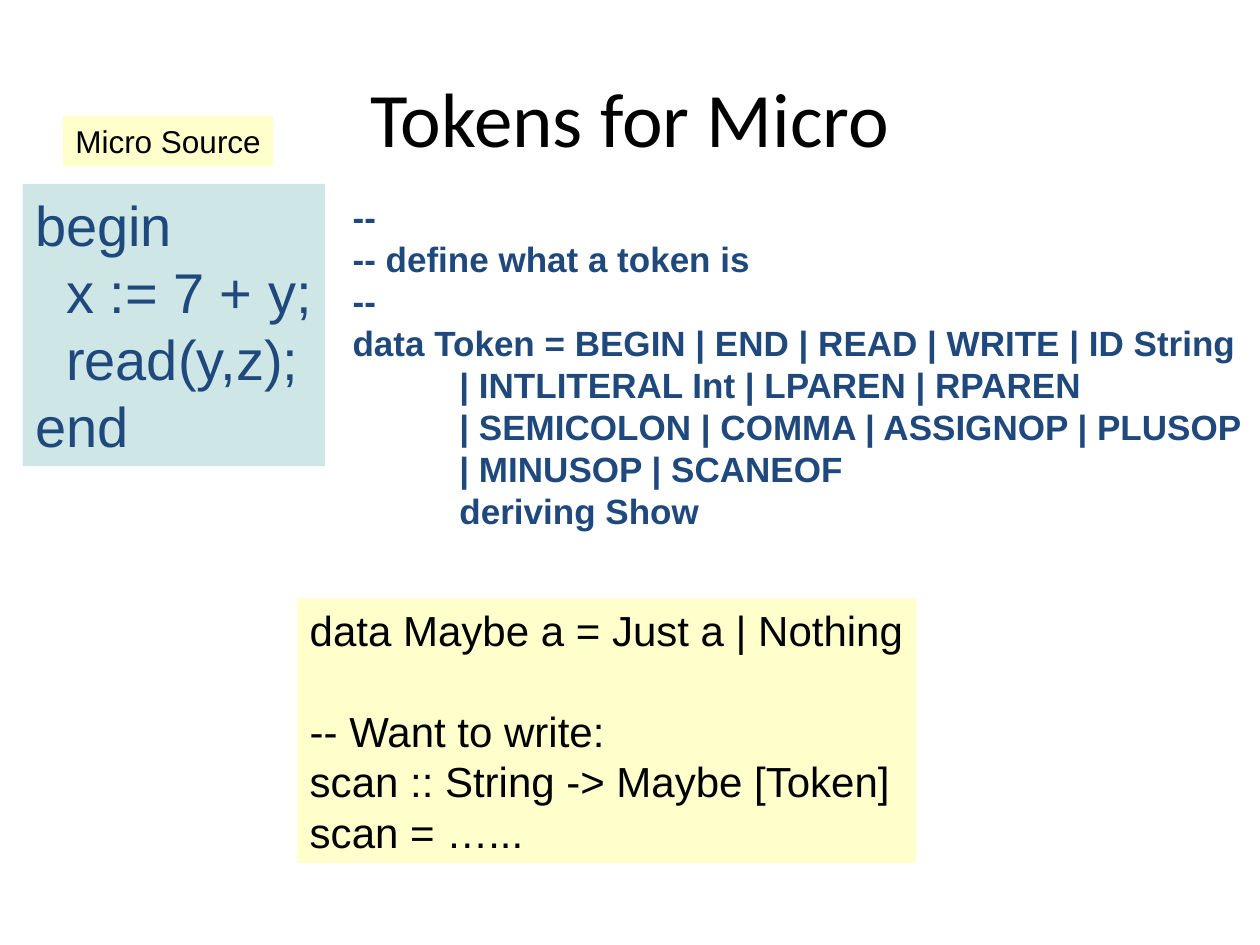
from pptx import Presentation
from pptx import util as u
from pptx.dml.color import RGBColor
from pptx.enum import shapes, text

NAVY, BLACK, TEAL, CREAM = "1F497D", "000000", "CEE7E6", "FFFFCC"

MICRO_SOURCE = """begin
  x := 7 + y;
  read(y,z);
end"""

TOKEN_TYPE = """--
-- define what a token is
--
data Token = BEGIN | END | READ | WRITE | ID String
           | INTLITERAL Int | LPAREN | RPAREN
           | SEMICOLON | COMMA | ASSIGNOP | PLUSOP
           | MINUSOP | SCANEOF
           deriving Show"""

SCANNER = """data Maybe a = Just a | Nothing

-- Want to write:
scan :: String -> Maybe [Token]
scan = …..."""


def color(value):
    return RGBColor.from_string(value)


class SlideBuilder:
    """Places elements on a grid of 100 columns by 75 rows."""

    line_pitch = 1.2

    def __init__(self, presentation):
        self.slide = presentation.slides.add_slide(presentation.slide_layouts[6])
        self.column = presentation.slide_width / 100
        self.row = presentation.slide_height / 75

    def area(self, left, top, width, height):
        return (round(left * self.column), round(top * self.row),
                round(width * self.column), round(height * self.row))

    def style(self, paragraph, font, size, ink, bold=False):
        paragraph.font.name = font
        paragraph.font.size = u.Pt(size)
        paragraph.font.color.rgb = color(ink)
        paragraph.font.bold = bold

    def title(self, area, words):
        frame = self.slide.shapes.add_textbox(*self.area(*area)).text_frame
        frame.word_wrap = True
        frame.vertical_anchor = text.MSO_ANCHOR.MIDDLE
        paragraph = frame.paragraphs[0]
        paragraph.text = words
        paragraph.alignment = text.PP_ALIGN.CENTER
        self.style(paragraph, "Calibri", 44, BLACK)

    def panel(self, area, words, size, ink, fill=None, bold=False):
        """Adds a block of lines; an empty line becomes space before the next."""
        if fill:
            shape = self.slide.shapes.add_shape(
                shapes.MSO_SHAPE.RECTANGLE, *self.area(*area))
            shape.shadow.inherit = False
            shape.fill.solid()
            shape.fill.fore_color.rgb = color(fill)
            shape.line.fill.background()
        else:
            shape = self.slide.shapes.add_textbox(*self.area(*area))
        frame = shape.text_frame
        frame.word_wrap = False
        frame.auto_size = text.MSO_AUTO_SIZE.SHAPE_TO_FIT_TEXT
        frame.vertical_anchor = text.MSO_ANCHOR.TOP
        pitch = u.Pt(size * self.line_pitch)
        for number, block in enumerate(words.split("\n\n")):
            for index, line in enumerate(block.split("\n")):
                first = number == index == 0
                paragraph = frame.paragraphs[0] if first else frame.add_paragraph()
                paragraph.text = line
                paragraph.alignment = text.PP_ALIGN.LEFT
                paragraph.line_spacing = pitch
                if number and index == 0:
                    paragraph.space_before = pitch
                self.style(paragraph, "Arial", size, ink, bold)


def main():
    presentation = Presentation()
    presentation.slide_width = u.Inches(10)
    presentation.slide_height = u.Inches(7.5)
    builder = SlideBuilder(presentation)
    builder.title((5, 3, 90, 12.5), "Tokens for Micro")
    builder.panel((1.8, 14.6, 24, 22.4), MICRO_SOURCE, 32, NAVY, TEAL)
    builder.panel((27, 15, 72.8, 27.7), TOKEN_TYPE, 20, NAVY, bold=True)
    builder.panel((5, 9.2, 16.7, 4), "Micro Source", 18, BLACK, CREAM)
    builder.panel((23.6, 47.5, 49.1, 21), SCANNER, 24, BLACK, CREAM)
    presentation.save("out.pptx")


if __name__ == "__main__":
    main()
